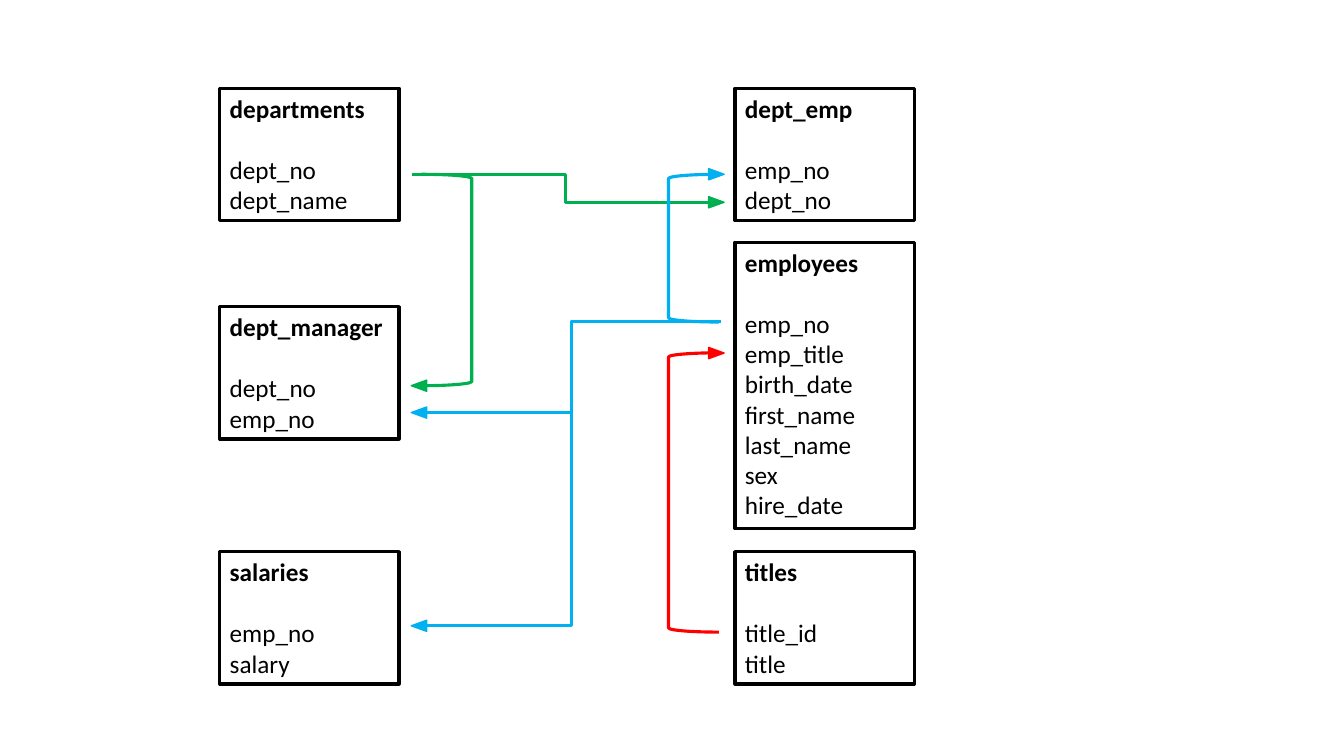
from pptx import Presentation
from pptx.util import Pt
from pptx.dml.color import RGBColor
from pptx.enum.shapes import MSO_SHAPE as SHAPE, MSO_CONNECTOR as CONNECTOR
from pptx.enum.text import PP_ALIGN as ALIGN, MSO_ANCHOR as ANCHOR
from pptx.oxml.ns import qn
from lxml.etree import SubElement

COLORS = {"ink": "000000", "department": "00B050",
          "employee": "00B0F0", "title": "FF0000"}
LINE_HEIGHT = 22
ENTITY_WIDTH = 128
LEFT_COLUMN, RIGHT_COLUMN = 157, 525
LEFT_TIP, RIGHT_TIP = 299.3, 511.7   # arrowhead centres beside each column
BRACKET_WIDTH = 36

# Entity name, left, top, fields
ENTITIES = [
    ("departments", LEFT_COLUMN, 63, ["dept_no", "dept_name"]),
    ("dept_manager", LEFT_COLUMN, 219, ["dept_no", "emp_no"]),
    ("salaries", LEFT_COLUMN, 394, ["emp_no", "salary"]),
    ("dept_emp", RIGHT_COLUMN, 63, ["emp_no", "dept_no"]),
    ("employees", RIGHT_COLUMN, 173,
     ["emp_no", "emp_title", "birth_date", "first_name", "last_name",
      "sex", "hire_date"]),
    ("titles", RIGHT_COLUMN, 394, ["title_id", "title"]),
]
# Key, start x, start y, end x, end y
ELBOWS = [
    ("department", 294, 124.5, 513.5, 144.5),
    ("employee", 515, 229.7, 301, 294.7),
    ("employee", 515, 229.7, 301, 447),
]
# Key, left, top, height, rotation
BRACKETS = [
    ("department", 301, 124.5, 151, 0),
    ("employee", 477.5, 124.5, 105.5, 180),
    ("title", 477.5, 252, 199.5, 180),
]
# Key, centre x, centre y
ARROWHEADS = [
    ("department", RIGHT_TIP, 144.5),
    ("department", LEFT_TIP, 275.5),
    ("employee", LEFT_TIP, 294.7),
    ("employee", LEFT_TIP, 447),
    ("employee", RIGHT_TIP, 124.5),
    ("title", RIGHT_TIP, 252.2),
]


def rgb(key):
    return RGBColor.from_string(COLORS[key])


def add_outline(slide, preset, box, key, weight=2.25):
    """Place an unfilled, unshadowed preset shape in a box given in points."""
    shape = slide.shapes.add_shape(preset, *map(Pt, box))
    shape.shadow.inherit = False
    shape.fill.background()
    shape.line.color.rgb = rgb(key)
    shape.line.width = Pt(weight)
    return shape


def add_entity(slide, name, left, top, fields):
    height = LINE_HEIGHT * (len(fields) + 2) + 6.6
    entity = add_outline(slide, SHAPE.RECTANGLE,
                         (left, top, ENTITY_WIDTH, height), "ink")
    frame = entity.text_frame
    frame.word_wrap = True
    frame.vertical_anchor = ANCHOR.TOP
    frame.text = "\n".join([name, *fields])
    for row, paragraph in enumerate(frame.paragraphs):
        paragraph.alignment = ALIGN.LEFT
        if row == 1:
            paragraph.space_before = Pt(LINE_HEIGHT)
        font = paragraph.runs[0].font
        font.name, font.size, font.bold = "Calibri", Pt(18), row == 0
        font.color.rgb = rgb("ink")


def add_elbow(slide, key, *ends):
    elbow = slide.shapes.add_connector(CONNECTOR.ELBOW, *map(Pt, ends))
    elbow.line.color.rgb = rgb(key)
    elbow.line.width = Pt(2.25)
    SubElement(elbow.line._get_or_add_ln().getparent(), qn("a:effectLst"))


def add_bracket(slide, key, left, top, height, rotation):
    bracket = add_outline(slide, SHAPE.RIGHT_BRACKET,
                          (left, top, BRACKET_WIDTH, height), key)
    bracket.rotation = rotation


def add_arrowhead(slide, key, x, y, width=8, length=11):
    box = (x - width / 2, y - length / 2, width, length)
    arrowhead = add_outline(slide, SHAPE.ISOSCELES_TRIANGLE, box, key, 1)
    arrowhead.fill.solid()
    arrowhead.fill.fore_color.rgb = rgb(key)
    arrowhead.rotation = 270 if x == LEFT_TIP else 90


def build_schema(slide):
    # Entities first, then relations, arrowheads on top
    for add_part, parts in ((add_entity, ENTITIES), (add_elbow, ELBOWS),
                            (add_bracket, BRACKETS),
                            (add_arrowhead, ARROWHEADS)):
        for part in parts:
            add_part(slide, *part)


deck = Presentation()
deck.slide_width, deck.slide_height = Pt(960), Pt(540)
build_schema(deck.slides.add_slide(deck.slide_layouts[6]))
deck.save("out.pptx")
